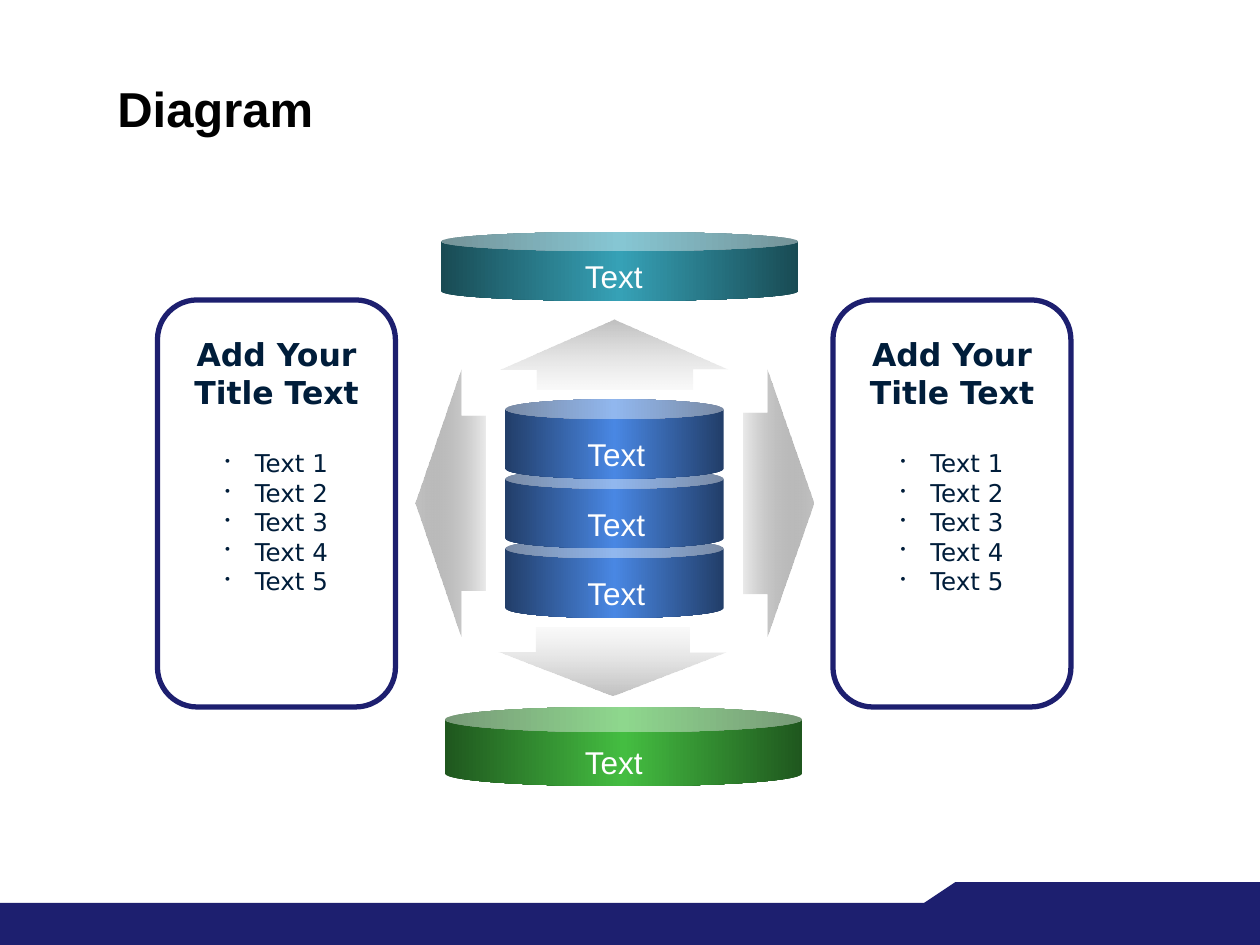
from lxml.etree import SubElement
from pptx import Presentation
from pptx.dml.color import RGBColor
from pptx.enum.shapes import MSO_SHAPE as SHAPE
from pptx.enum.text import MSO_ANCHOR as ANCHOR, PP_ALIGN as ALIGN
from pptx.oxml.ns import qn
from pptx.util import Pt

NAVY = RGBColor(0x1D, 0x1F, 0x6F)
INK = RGBColor(0x00, 0x1D, 0x3A)
BLACK = RGBColor(0x00, 0x00, 0x00)
WHITE = RGBColor(0xFF, 0xFF, 0xFF)
BLUE, BLUE_DARK = RGBColor(0x49, 0x87, 0xE3), RGBColor(0x22, 0x3E, 0x69)
TEAL, TEAL_DARK = RGBColor(0x36, 0xA1, 0xB6), RGBColor(0x19, 0x4B, 0x54)
GREEN, GREEN_DARK = RGBColor(0x44, 0xBD, 0x41), RGBColor(0x1F, 0x57, 0x1E)
SILVER = RGBColor(0xC0, 0xC0, 0xC0)
PALE = RGBColor(0xD7, 0xD7, 0xD7)
GREY = RGBColor(0x59, 0x59, 0x59)
FADED = 12  # opacity in percent

TITLE = "Diagram"
PANEL_HEADING = ["Add Your", "Title Text"]
PANEL_ITEMS = ["Text 1", "Text 2", "Text 3", "Text 4", "Text 5"]
PANEL_LEFTS = [90, 476]
PANEL_TOP, PANEL_W, PANEL_H = 171.4, 136, 232.6

STACK = ["Text", "Text", "Text"]
STACK_LEFT, STACK_TOP, STACK_STEP = 288.7, 228.2, 39.8
STACK_W, STACK_H = 124.8, 45.4

# box, adjustment, edge colour, centre colour, label, label top
DISCS = [
    ((252, 132.5, 204.2, 39.5), 0.279, TEAL_DARK, TEAL, "Text", 143.4),
    ((254.2, 403.9, 204.2, 45.4), 0.32, GREEN_DARK, GREEN, "Text", 421),
]
# preset, box, adjustments, gradient stops, angle
ARROWS = [
    (SHAPE.LEFT_ARROW, (237.5, 211, 40.2, 153), (0.656, 0.652),
     [(0, GREY, FADED), (100, SILVER, 100)], 180),
    (SHAPE.RIGHT_ARROW, (424.6, 211, 40.2, 153), (0.677, 0.662),
     [(0, SILVER, 100), (100, GREY, FADED)], 180),
    (SHAPE.UP_ARROW, (285.8, 182.6, 130.2, 40), (0.684, 0.708),
     [(0, SILVER, 100), (100, PALE, FADED)], 90),
    (SHAPE.DOWN_ARROW, (284.7, 358.5, 130.2, 39), (0.671, 0.641),
     [(0, PALE, FADED), (100, SILVER, 100)], 90),
]
FOOTER_STEP = [(528, 516), (546, 504), (720, 504), (720, 522), (528, 522)]

prs = Presentation()
prs.slide_width, prs.slide_height = Pt(720), Pt(540)
shapes = prs.slides.add_slide(prs.slide_layouts[6]).shapes


def paint(sp, fill=None, line=None):
    """Give a shape a flat fill and an outline, either of them optional."""
    sp.shadow.inherit = False
    if fill is None:
        sp.fill.background()
    else:
        sp.fill.solid()
        sp.fill.fore_color.rgb = fill
    if line is None:
        sp.line.fill.background()
    else:
        sp.line.color.rgb = line
        sp.line.width = Pt(3)


def add_preset(preset, box, adjustments=(), **colours):
    sp = shapes.add_shape(preset, *map(Pt, box))
    for i, value in enumerate(adjustments):
        sp.adjustments[i] = value
    paint(sp, **colours)
    return sp


def set_gradient(sp, stops, angle):
    """Fill with (position %, colour, opacity %) stops along a clockwise angle."""
    sp.fill.gradient()
    grad = sp._element.spPr.find(qn("a:gradFill"))
    for child in list(grad):
        grad.remove(child)
    stop_list = SubElement(grad, qn("a:gsLst"))
    for position, colour, opacity in stops:
        gs = SubElement(stop_list, qn("a:gs"), pos=str(position * 1000))
        clr = SubElement(gs, qn("a:srgbClr"), val=str(colour))
        if opacity < 100:
            SubElement(clr, qn("a:alpha"), val=str(opacity * 1000))
    SubElement(grad, qn("a:lin"), ang=str(angle * 60000), scaled="0")


def add_can(box, adjustment, edge, centre):
    sp = add_preset(SHAPE.CAN, box, [adjustment])
    set_gradient(sp, [(0, edge, 100), (50, centre, 100), (100, edge, 100)], 180)


def add_bullet(p, indent):
    pPr = p._p.get_or_add_pPr()
    pPr.set("marL", str(Pt(indent)))
    pPr.set("indent", str(Pt(-indent)))
    SubElement(SubElement(pPr, qn("a:buClr")), qn("a:srgbClr"), val=str(INK))
    SubElement(pPr, qn("a:buSzPct"), val="60000")
    SubElement(pPr, qn("a:buChar"), char="•")


def write(p, text, size=18, font="Arial", color=WHITE, bold=False,
          align=ALIGN.CENTER, before=0):
    p.alignment = align
    if before:
        p.space_before = Pt(before)
    r = p.add_run()
    r.text = text
    r.font.size, r.font.name, r.font.bold = Pt(size), font, bold
    r.font.color.rgb = color


def add_text_frame(box, wrap=True):
    tf = shapes.add_textbox(*map(Pt, box)).text_frame
    tf.word_wrap = wrap
    return tf


def add_label(text, left, top):
    write(add_text_frame((left, top, 49, 29), wrap=False).paragraphs[0], text)


def add_panel(left):
    add_preset(SHAPE.ROUNDED_RECTANGLE, (left, PANEL_TOP, PANEL_W, PANEL_H),
               [0.167], line=NAVY)
    tf = add_text_frame((left + 5.8, PANEL_TOP + 16.6, PANEL_W - 11.6, 156))
    for i, text in enumerate(PANEL_HEADING):
        p = tf.add_paragraph() if i else tf.paragraphs[0]
        write(p, text, font="DejaVu Sans", color=INK, bold=True)
    for i, text in enumerate(PANEL_ITEMS):
        p = tf.add_paragraph()
        add_bullet(p, 17)
        write(p, text, size=14, font="DejaVu Sans", color=INK,
              before=0 if i else 21.5)


add_preset(SHAPE.RECTANGLE, (0, 516, 720, 24), fill=NAVY)
builder = shapes.build_freeform(*FOOTER_STEP[0], scale=Pt(1))
builder.add_line_segments(FOOTER_STEP[1:], close=True)
paint(builder.convert_to_shape(), fill=NAVY)

title = add_text_frame((60, 39.6, 618, 44.6))
title.vertical_anchor = ANCHOR.MIDDLE
write(title.paragraphs[0], TITLE, size=28, color=BLACK, bold=True,
      align=ALIGN.LEFT)

stack_tops = [STACK_TOP + i * STACK_STEP for i in range(len(STACK))]
for top in reversed(stack_tops):
    add_can((STACK_LEFT, top, STACK_W, STACK_H), 0.25, BLUE_DARK, BLUE)
for text, top in zip(STACK, stack_tops):
    add_label(text, 327.6, top + 16.8)

for left in PANEL_LEFTS:
    add_panel(left)

for box, adjustment, edge, centre, text, label_top in DISCS:
    add_can(box, adjustment, edge, centre)
    add_label(text, 326.2, label_top)

for preset, box, adjustments, stops, angle in ARROWS:
    set_gradient(add_preset(preset, box, adjustments), stops, angle)

prs.save("out.pptx")
